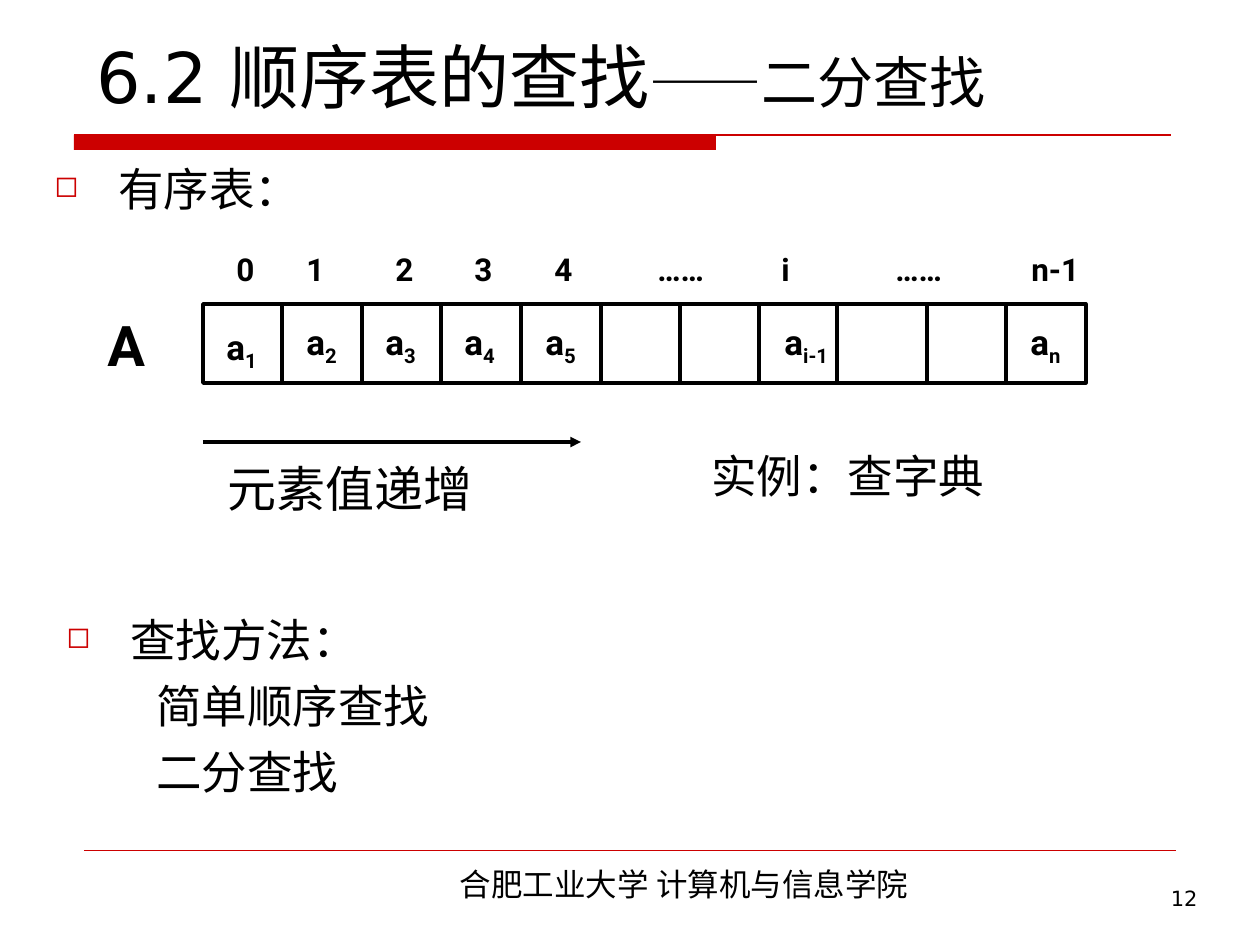
from lxml.etree import SubElement
from pptx import Presentation
from pptx.dml.color import RGBColor
from pptx.enum.shapes import MSO_CONNECTOR, MSO_SHAPE
from pptx.enum.text import MSO_ANCHOR, PP_ALIGN
from pptx.oxml.ns import qn
from pptx.util import Pt

BLACK = RGBColor(0, 0, 0)
RED = RGBColor(0xCC, 0, 0)
EMU_PER_PX = 914400 / 126

TITLE = {"size": Pt(40), "name": "DejaVu Sans"}
SUBTITLE = {"size": Pt(32), "name": "DejaVu Sans"}
BODY = {"size": Pt(26), "name": "Times New Roman"}
FOOTER = {"size": Pt(18), "name": "Noto Sans CJK SC"}
NUMBER = {"size": Pt(12), "name": "DejaVu Sans"}
CAPTION = {"size": Pt(28), "name": "Roboto"}
ARRAY_NAME = {"size": Pt(32), "name": "Roboto", "bold": True}
INDEX = {"size": Pt(18), "name": "Roboto", "bold": True}
ELEMENT = {"size": Pt(20), "name": "Roboto", "bold": True}

INDICES = [("0", 224, 43), ("1", 294, 43), ("2", 383, 43), ("3", 462, 43),
           ("4", 542, 43), ("……", 645, 79), ("i", 769, 34),
           ("……", 883, 79), ("n-1", 1019, 74)]
ELEMENTS = [("1", 214, 319, 58), ("2", 294, 314, 58), ("3", 373, 314, 58),
            ("4", 452, 314, 58), ("5", 533, 314, 58), ("i-1", 772, 314, 71),
            ("n", 1018, 314, 59)]
CELL_WIDTHS = [79, 80, 79, 80, 80, 79, 79, 78, 90, 79]
ARRAY_LEFT, ARRAY_TOP, ARRAY_WIDTH, ARRAY_HEIGHT = 203, 304, 883, 79
METHODS = ["简单顺序查找", "二分查找"]


def px(value):
    return round(value * EMU_PER_PX)


def add_run(paragraph, text, font_format):
    run = paragraph.add_run()
    run.text = text
    for name, value in font_format.items():
        setattr(run.font, name, value)
    run.font.color.rgb = BLACK
    return run


def add_text(box, runs, wrap=True, anchor=MSO_ANCHOR.TOP, align=PP_ALIGN.LEFT):
    frame = slide.shapes.add_textbox(*map(px, box)).text_frame
    frame.word_wrap = wrap
    frame.vertical_anchor = anchor
    paragraph = frame.paragraphs[0]
    paragraph.alignment = align
    for text, font_format in runs:
        add_run(paragraph, text, font_format)
    return frame


def add_bullet(paragraph):
    properties = paragraph._p.get_or_add_pPr()
    properties.set("marL", str(px(64)))
    properties.set("indent", str(px(-64)))
    color = SubElement(properties, qn("a:buClr"))
    SubElement(color, qn("a:srgbClr"), val=str(RED))
    SubElement(properties, qn("a:buSzPct"), val="65000")
    SubElement(properties, qn("a:buChar"), char="◻")


def add_line(start, end, color=BLACK, width=2, arrow=False):
    line = slide.shapes.add_connector(MSO_CONNECTOR.STRAIGHT, *map(px, start + end))
    line.line.color.rgb = color
    line.line.width = Pt(width)
    if arrow:
        SubElement(line.line._get_or_add_ln(), qn("a:tailEnd"), type="triangle")
    SubElement(line._element.spPr, qn("a:effectLst"))


def add_rectangle(*box):
    shape = slide.shapes.add_shape(MSO_SHAPE.RECTANGLE, *map(px, box))
    shape.shadow.inherit = False
    return shape


presentation = Presentation()
presentation.slide_width = px(1260)
presentation.slide_height = px(945)
slide = presentation.slides.add_slide(presentation.slide_layouts[6])

title_bar = add_rectangle(74, 135, 642, 15)
title_bar.fill.solid()
title_bar.fill.fore_color.rgb = RED
title_bar.line.fill.background()
add_line((74, 135), (1171, 135), RED, 0.75)
add_line((84, 850), (1176, 850), RED, 0.25)

add_text((302, 859, 764, 50), [("合肥工业大学 计算机与信息学院", FOOTER)],
         align=PP_ALIGN.CENTER)
add_text((84, 26, 1103, 98), [("6.2 顺序表的查找", TITLE), ("——二分查找", SUBTITLE)],
         anchor=MSO_ANCHOR.BOTTOM)
ordered = add_text((42, 155, 1177, 103), [("有序表：", BODY)])
add_bullet(ordered.paragraphs[0])

array = add_rectangle(ARRAY_LEFT, ARRAY_TOP, ARRAY_WIDTH, ARRAY_HEIGHT)
array.fill.background()
array.line.color.rgb = BLACK
array.line.width = Pt(2)
divider = ARRAY_LEFT
for width in CELL_WIDTHS:
    divider += width
    add_line((divider, ARRAY_TOP), (divider, ARRAY_TOP + ARRAY_HEIGHT))

add_text((95, 304, 63, 81), [("A", ARRAY_NAME)], wrap=False)
for text, left, width in INDICES:
    add_text((left, 244, width, 50), [(text, INDEX)], wrap=False)
for subscript, left, top, width in ELEMENTS:
    frame = add_text((left, top, width, 60), [("a", ELEMENT), (subscript, ELEMENT)],
                     wrap=False)
    frame.paragraphs[0].runs[1].font._element.set("baseline", "-25000")

add_line((203, 442), (581, 442), arrow=True)
add_text((215, 452, 281, 72), [("元素值递增", CAPTION)], wrap=False)
add_text((699, 442, 328, 68), [("实例：查字典", BODY)])

methods = add_text((54, 606, 1111, 224), [("查找方法：", BODY)])
add_bullet(methods.paragraphs[0])
for method in METHODS:
    paragraph = methods.add_paragraph()
    paragraph.space_before = Pt(6.5)
    paragraph._p.get_or_add_pPr().set("marL", str(px(90)))
    add_run(paragraph, method, BODY)

add_text((937, 879, 273, 66), [("12", NUMBER)], align=PP_ALIGN.RIGHT)

presentation.save("out.pptx")
